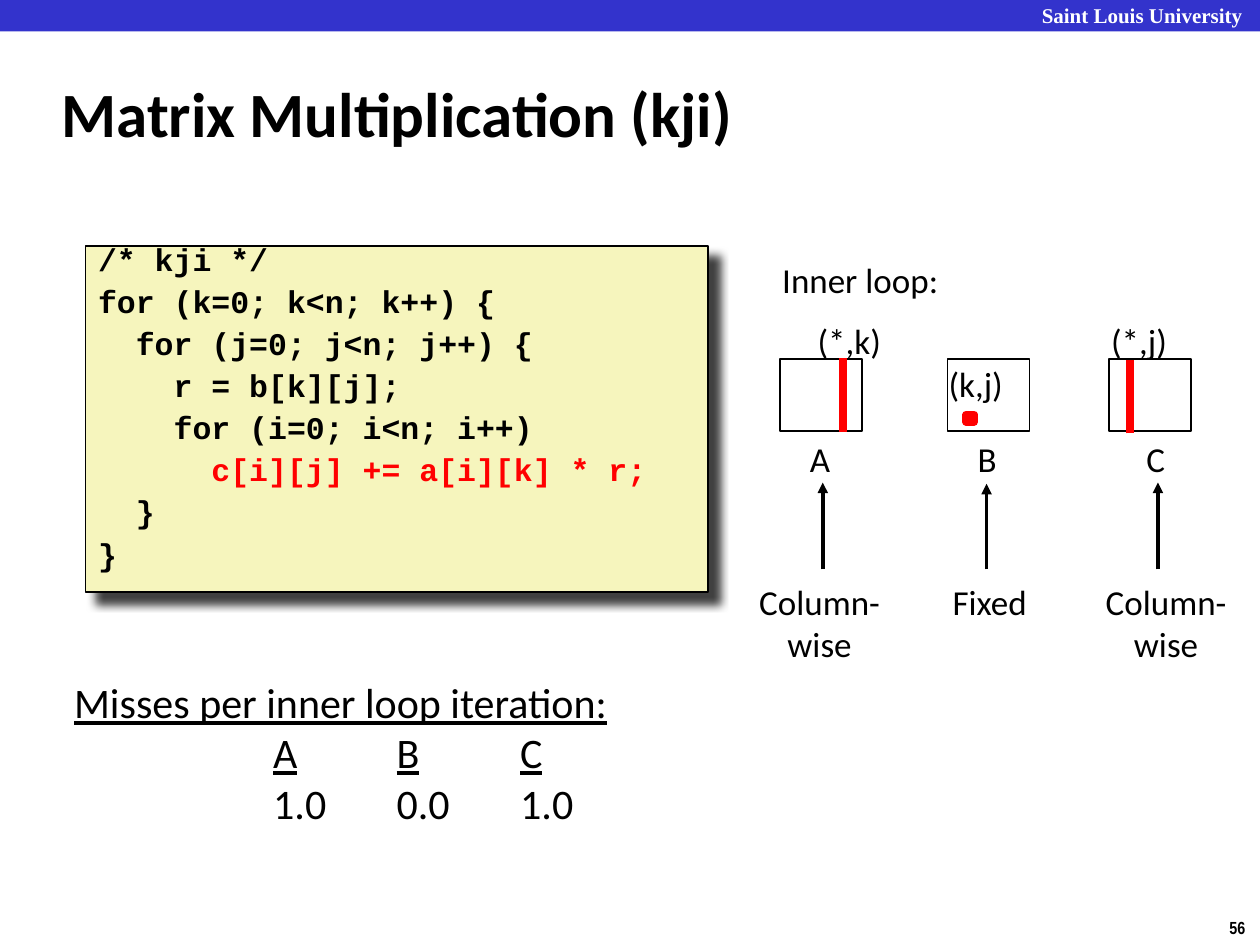
import pptx
import pptx.dml.color
import pptx.enum.shapes
import pptx.enum.text
import pptx.oxml
import pptx.util
from pptx.util import Inches

NAMESPACE = 'xmlns:a="http://schemas.openxmlformats.org/drawingml/2006/main"'
RECTANGLE = pptx.enum.shapes.MSO_SHAPE.RECTANGLE
STRAIGHT = pptx.enum.shapes.MSO_CONNECTOR.STRAIGHT
LEFT = pptx.enum.text.PP_ALIGN.LEFT
CENTER = pptx.enum.text.PP_ALIGN.CENTER
TOP = pptx.enum.text.MSO_ANCHOR.TOP
MIDDLE = pptx.enum.text.MSO_ANCHOR.MIDDLE


def color(hex_string):
    return pptx.dml.color.RGBColor.from_string(hex_string)


def write(shape, text, size=20, font="Calibri", fill="000000", bold=False,
          underline=False, align=LEFT, anchor=TOP, wrap=False):
    """Write one paragraph per line of text and return the paragraphs."""
    frame = shape.text_frame
    frame.text = text
    frame.word_wrap = wrap
    frame.vertical_anchor = anchor
    for paragraph in frame.paragraphs:
        paragraph.alignment = align
        for run in paragraph.runs:
            run.font.size = pptx.util.Pt(size)
            run.font.name = font
            run.font.bold = bold
            run.font.underline = underline
            run.font.color.rgb = color(fill)
    return frame.paragraphs


presentation = pptx.Presentation()
presentation.slide_width = Inches(10)
presentation.slide_height = Inches(7.5)
slide = presentation.slides.add_slide(presentation.slide_layouts[6])
shapes = slide.shapes

# Header band, slide number and title
band = shapes.add_shape(RECTANGLE, 0, 0, Inches(10), Inches(0.25))
band.shadow.inherit = False
band.fill.solid()
band.fill.fore_color.rgb = color("3333CC")
band.line.fill.background()

header = shapes.add_textbox(Inches(8.17), Inches(-0.03), Inches(1.9), Inches(0.3))
write(header, "Saint Louis University", size=12, font="Times New Roman",
      fill="FFFFFF", bold=True, wrap=True)
number = shapes.add_textbox(Inches(9.66), Inches(7.23), Inches(0.34), Inches(0.27))
write(number, "56", size=10, font="Arial Narrow", bold=True)
title = shapes.add_textbox(Inches(0.39), Inches(0.48), Inches(8.3), Inches(0.83))
write(title, "Matrix Multiplication (kji)", size=36, bold=True,
      anchor=MIDDLE, wrap=True)

# Code panel with a soft shadow
code = """/* kji */
for (k=0; k<n; k++) {
  for (j=0; j<n; j++) {
    r = b[k][j];
    for (i=0; i<n; i++)
      c[i][j] += a[i][k] * r;
  }
}"""
panel = shapes.add_shape(RECTANGLE, Inches(0.68), Inches(1.95), Inches(4.94), Inches(2.75))
panel.shadow.inherit = False
panel.fill.solid()
panel.fill.fore_color.rgb = color("F6F5BD")
panel.line.color.rgb = color("000000")
panel.line.width = pptx.util.Pt(1)
effects = panel._element.spPr.find(pptx.oxml.ns.qn("a:effectLst"))
effects.append(pptx.oxml.parse_xml(
    f'<a:outerShdw {NAMESPACE} blurRad="63500" dist="107950" dir="2700000" '
    'algn="tl" rotWithShape="0"><a:srgbClr val="000000"><a:alpha val="75000"/>'
    '</a:srgbClr></a:outerShdw>'))
code_lines = write(panel, code, size=18, font="Courier New", bold=True, wrap=True)
for paragraph in code_lines:
    paragraph.line_spacing = 0.65
for paragraph in code_lines[1:]:
    paragraph.space_before = pptx.util.Pt(10)
code_lines[5].runs[0].font.color.rgb = color("FF0000")

# Matrix boxes
for left in (6.19, 7.52, 8.8):
    matrix = shapes.add_shape(RECTANGLE, Inches(left), Inches(2.85), Inches(0.65), Inches(0.57))
    matrix.shadow.inherit = False
    matrix.fill.solid()
    matrix.fill.fore_color.rgb = color("FFFFFF")
    matrix.line.color.rgb = color("000000")
    matrix.line.width = pptx.util.Pt(1)

# Fixed element of B
element = shapes.add_shape(RECTANGLE, Inches(7.67), Inches(3.29), Inches(0.06), Inches(0.06))
element.shadow.inherit = False
element.fill.solid()
element.fill.fore_color.rgb = color("000000")
element.line.color.rgb = color("FF0000")
element.line.width = pptx.util.Pt(4.5)

# Labels of the inner loop diagram
for text, left, top, width, height, align in (
    ("Inner loop:", 6.11, 2, 1.45, 0.43, LEFT),
    ("(*,k)", 6.39, 2.49, 0.71, 0.43, LEFT),
    ("(k,j)", 7.43, 2.83, 0.63, 0.43, LEFT),
    ("(*,j)", 8.72, 2.49, 0.65, 0.43, LEFT),
    ("A", 6.33, 3.42, 0.37, 0.43, LEFT),
    ("B", 7.66, 3.42, 0.35, 0.43, LEFT),
    ("C", 9, 3.42, 0.35, 0.43, LEFT),
    ("Column-\nwise", 5.92, 4.56, 1.17, 0.77, CENTER),
    ("Fixed", 7.46, 4.56, 0.79, 0.43, CENTER),
    ("Column-\nwise", 8.67, 4.56, 1.17, 0.77, CENTER),
):
    label = shapes.add_textbox(Inches(left), Inches(top), Inches(width), Inches(height))
    write(label, text, align=align)

# Red column bars and black arrows, all drawn upwards
for x, bottom, top, line_color, width, arrow in (
    (6.69, 3.43, 2.84, "FF0000", 4.5, False),
    (8.97, 3.44, 2.86, "FF0000", 4.5, False),
    (6.53, 4.52, 3.83, "000000", 2, True),
    (7.83, 4.52, 3.84, "000000", 2, True),
    (9.19, 4.52, 3.83, "000000", 2, True),
):
    line = shapes.add_connector(STRAIGHT, Inches(x), Inches(bottom), Inches(x), Inches(top))
    line.line.color.rgb = color(line_color)
    line.line.width = pptx.util.Pt(width)
    if arrow:
        line.line._get_or_add_ln().append(
            pptx.oxml.parse_xml(f'<a:tailEnd {NAMESPACE} type="triangle"/>'))
    line._element.spPr.append(pptx.oxml.parse_xml(f'<a:effectLst {NAMESPACE}/>'))

# Misses per iteration, with the values on tab stops
misses = shapes.add_textbox(Inches(0.49), Inches(5.32), Inches(5.43), Inches(1.34))
rows = write(misses, "Misses per inner loop iteration:\n\tA\tB\tC\n\t1.0\t0.0\t1.0",
             size=24, wrap=True)
rows[0].runs[0].font.underline = True
for paragraph in rows[1:]:
    stops = "".join(f'<a:tab pos="{Inches(position)}" algn="l"/>'
                    for position in (1.58, 2.56, 3.54))
    paragraph._p.get_or_add_pPr().append(
        pptx.oxml.parse_xml(f'<a:tabLst {NAMESPACE}>{stops}</a:tabLst>'))

# Underline the column names but not the tabs between them
names = rows[1]
names.clear()
for text in ("\t", "A", "\t", "B", "\t", "C"):
    run = names.add_run()
    run.text = text
    run.font.size = pptx.util.Pt(24)
    run.font.name = "Calibri"
    run.font.color.rgb = color("000000")
    run.font.underline = text != "\t"

presentation.save("out.pptx")
